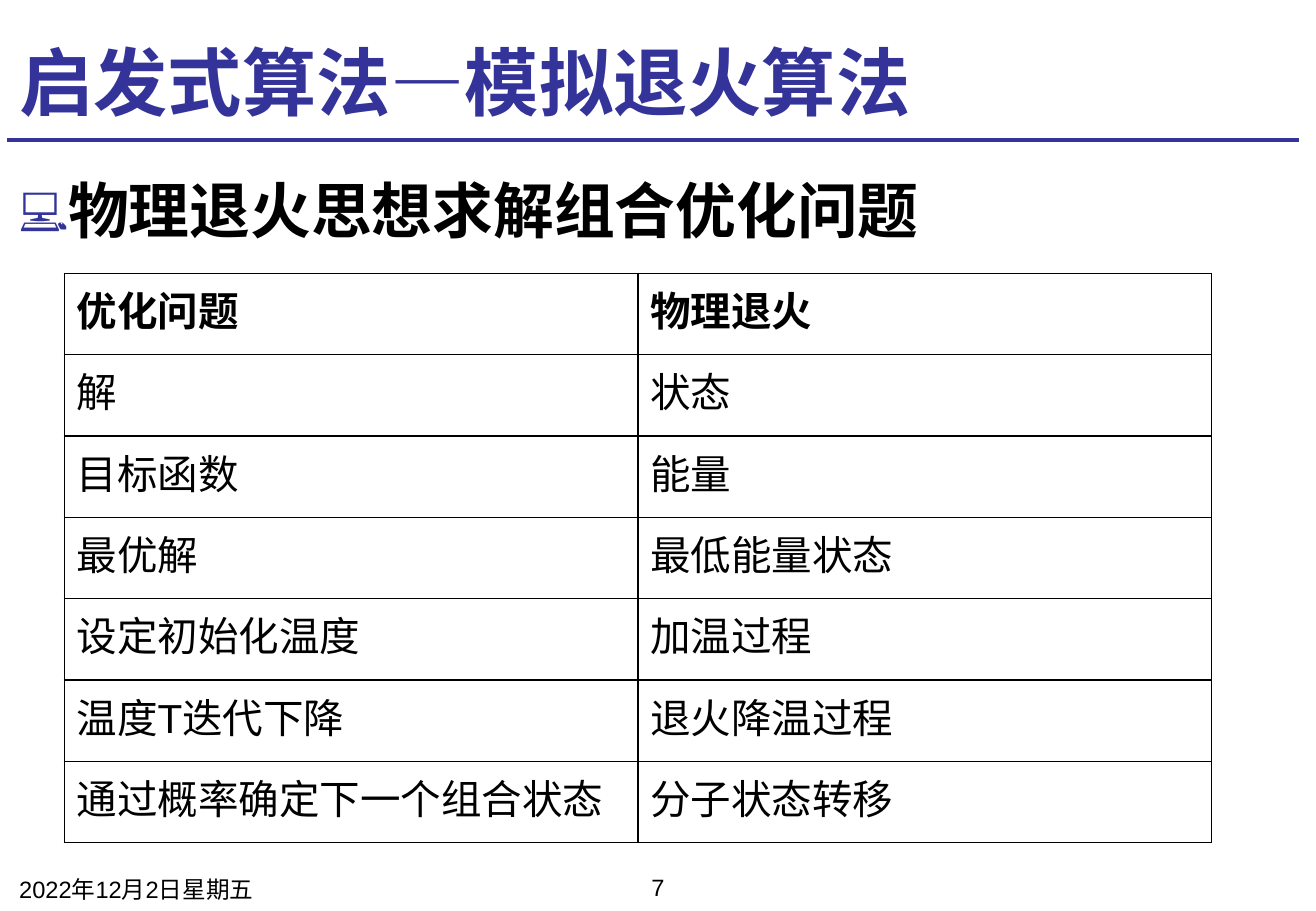
import pptx
import pptx.dml.color
import pptx.enum.shapes
import pptx.enum.text
import pptx.oxml
import pptx.util

TITLE = "启发式算法—模拟退火算法"
HEADING = "物理退火思想求解组合优化问题"
DATE = "2022年12月2日星期五"
PAGE = "7"
ANALOGY = [
    ("优化问题", "物理退火"),
    ("解", "状态"),
    ("目标函数", "能量"),
    ("最优解", "最低能量状态"),
    ("设定初始化温度", "加温过程"),
    ("温度T迭代下降", "退火降温过程"),
    ("通过概率确定下一个组合状态", "分子状态转移"),
]
NAVY, BLACK = "333399", "000000"
PX = 9144
MARGIN, CONTENT_WIDTH = 6, 1063
COLUMN_WIDTH, ROW_HEIGHT = 472, 67
NAMESPACE = 'xmlns:a="http://schemas.openxmlformats.org/drawingml/2006/main"'
BULLET = [
    f'<a:buClr {NAMESPACE}><a:srgbClr val="{NAVY}"/></a:buClr>',
    f'<a:buSzPct {NAMESPACE} val="75000"/>',
    f'<a:buFont {NAMESPACE} typeface="Arial"/>',
    f'<a:buChar {NAMESPACE} char="💻"/>',
]
Align = pptx.enum.text.PP_ALIGN
Anchor = pptx.enum.text.MSO_ANCHOR


def px(*lengths):
    """Turn pixel lengths into EMU."""
    return [length * PX for length in lengths]


def color(value):
    """Turn a hex string into a colour."""
    return pptx.dml.color.RGBColor.from_string(value)


def write(frame, text, size, ink=BLACK, bold=False, align=Align.LEFT):
    """Fill a text frame with one formatted paragraph and return it."""
    frame.text = text
    frame.word_wrap = True
    paragraph = frame.paragraphs[0]
    paragraph.alignment = align
    for run in paragraph.runs:
        run.font.name = "Arial"
        run.font.size = pptx.util.Pt(size)
        run.font.bold = bold
        run.font.color.rgb = color(ink)
    return paragraph


def add_text(slide, box, text, size, **style):
    """Add a text box and return its paragraph."""
    return write(slide.shapes.add_textbox(*px(*box)).text_frame, text, size, **style)


def add_title(slide):
    """Place the title and the rule under it."""
    title = slide.shapes.title
    title.left, title.top, title.width, title.height = px(MARGIN, 21, CONTENT_WIDTH, 87)
    write(title.text_frame, TITLE, 44, ink=NAVY, bold=True)
    title.text_frame.vertical_anchor = Anchor.BOTTOM
    title.text_frame.auto_size = pptx.enum.text.MSO_AUTO_SIZE.NONE
    rule = slide.shapes.add_connector(
        pptx.enum.shapes.MSO_CONNECTOR.STRAIGHT,
        *px(MARGIN, 115, MARGIN + CONTENT_WIDTH, 115))
    rule.line.color.rgb = color(NAVY)
    rule.line.width = pptx.util.Pt(2.25)
    rule._element.spPr.append(pptx.oxml.parse_xml(f"<a:effectLst {NAMESPACE}/>"))


def add_heading(slide):
    """Add the bulleted heading."""
    heading = add_text(slide, (MARGIN, 131, CONTENT_WIDTH, 80), HEADING, 36, bold=True)
    heading.line_spacing = 1.1
    properties = heading._p.get_or_add_pPr()
    properties.set("marL", str(38 * PX))
    properties.set("indent", str(-38 * PX))
    for part in BULLET:
        properties.append(pptx.oxml.parse_xml(part))


def add_borders(cell):
    """Draw a thin black line on each side of a cell."""
    properties = cell._tc.get_or_add_tcPr()
    for index, side in enumerate(("lnL", "lnR", "lnT", "lnB")):
        properties.insert(index, pptx.oxml.parse_xml(
            f'<a:{side} {NAMESPACE} w="12700"><a:solidFill>'
            f'<a:srgbClr val="{BLACK}"/></a:solidFill></a:{side}>'))


def add_analogy(slide):
    """Add the table matching optimisation terms to annealing terms."""
    columns = len(ANALOGY[0])
    table = slide.shapes.add_table(
        len(ANALOGY), columns,
        *px(53, 225, COLUMN_WIDTH * columns, ROW_HEIGHT * len(ANALOGY))).table
    for row, terms in enumerate(ANALOGY):
        for column, term in enumerate(terms):
            cell = table.cell(row, column)
            write(cell.text_frame, term, 24, bold=row == 0)
            cell.vertical_anchor = Anchor.TOP
            cell.fill.background()
            add_borders(cell)


def main():
    """Build the slide and save it."""
    deck = pptx.Presentation()
    deck.slide_width, deck.slide_height = px(1083, 750)
    slide = deck.slides.add_slide(deck.slide_layouts[5])
    add_title(slide)
    add_heading(slide)
    add_analogy(slide)
    add_text(slide, (MARGIN, 715, 253, 30), DATE, 14)
    add_text(slide, (415, 714, 253, 30), PAGE, 14, align=Align.CENTER)
    deck.save("out.pptx")


if __name__ == "__main__":
    main()
